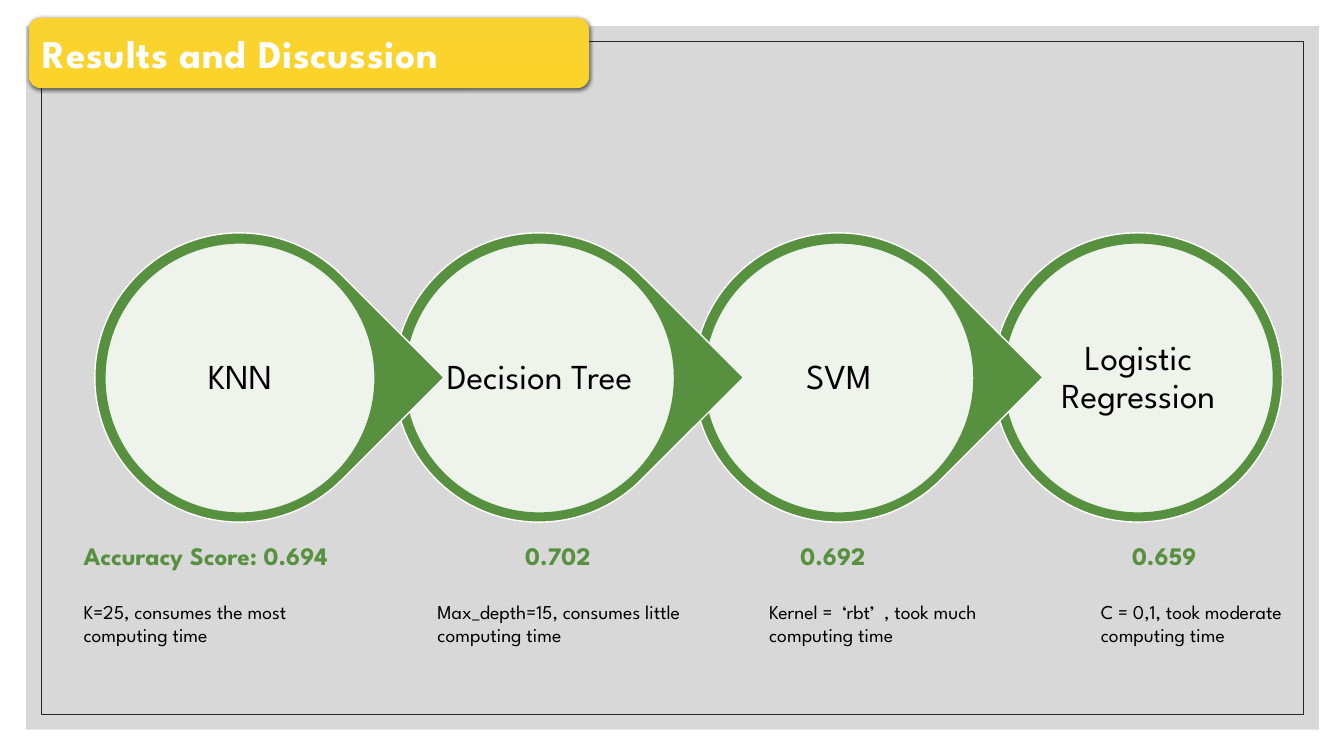
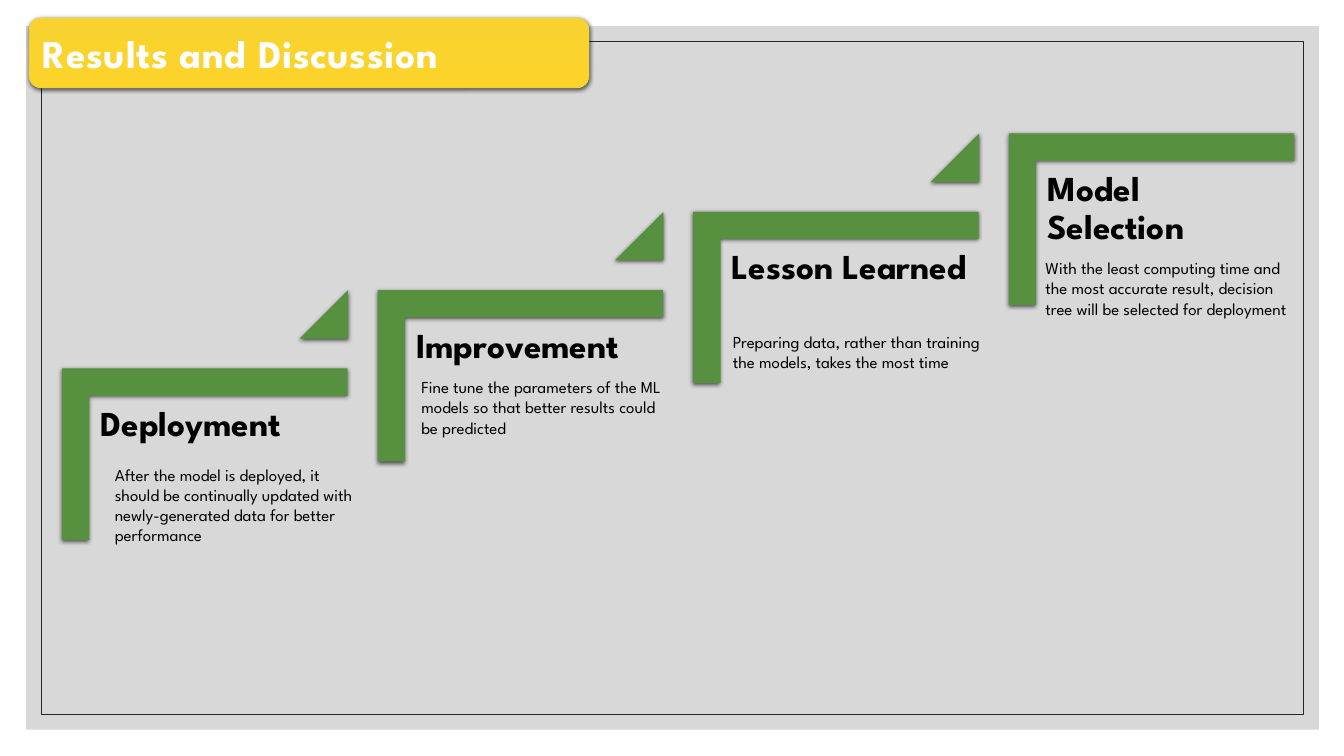
from dataclasses import dataclass
from typing import Any, Optional

from lxml.etree import SubElement
from pptx import Presentation
from pptx.dml.color import RGBColor
from pptx.enum.shapes import MSO_SHAPE
from pptx.enum.text import MSO_ANCHOR, MSO_AUTO_SIZE, PP_ALIGN
from pptx.oxml.ns import qn
from pptx.util import Inches, Pt

# Shared look
FONT = "League Spartan"
HUE = {
    "green": "57903F", "gold": "F8D22F", "amber": "FBD32A", "grey": "BFBFBF",
    "ink": "262626", "black": "000000", "white": "FFFFFF", "pale": "FEFEFE",
}
TITLE = "Results and Discussion"
Box = tuple[float, float, float, float]


@dataclass(frozen=True)
class Model:
    name: str
    score: str
    note: str
    left: float
    width: float
    dent: float


@dataclass(frozen=True)
class Step:
    name: str
    note: str
    left: float
    top: float
    height: float


@dataclass(frozen=True)
class Para:
    text: str
    size: float
    hue: str = "black"
    bold: bool = False
    dent: float = 0
    before: float = 0


MODELS = [
    Model("KNN", "Accuracy Score: 0.694", "K=25, consumes the most computing time",
          0.73, 3.02, 0),
    Model("Decision Tree", "0.702", "Max_depth=15, consumes little computing time",
          4.24, 2.8, 0.87),
    Model("SVM", "0.692", "Kernel =  ‘rbt’  , took much computing time",
          7.53, 2.8, 0.31),
    Model("Logistic Regression", "0.659", "C = 0,1, took moderate computing time",
          10.82, 2, 0.31),
]
STEPS = [
    Step("Deployment", "After the model is deployed, it should be continually updated "
         "with newly-generated data for better performance", 1.04, 4.56, 0.91),
    Step("Improvement", "Fine tune the parameters of the ML models so that better "
         "results could be predicted", 4.08, 3.69, 0.71),
    Step("Lesson Learned", "Preparing data, rather than training the models, takes "
         "the most time", 7.17, 3.24, 0.71),
    Step("Model Selection", "With the least computing time and the most accurate "
         "result, decision tree will be selected for deployment", 10.27, 2.51, 0.91),
]


def tint(name: str) -> RGBColor:
    return RGBColor.from_string(HUE[name])


def apply(target: Any, form: dict[str, Any]) -> None:
    for key, val in form.items():
        setattr(target, key, val)


def shade(node: Any, blur: float, dist: float, angle: int, hue: str, alpha: int) -> None:
    """Add an outer shadow to an effect list."""
    outer = SubElement(node, qn("a:outerShdw"), blurRad=str(Pt(blur)),
                       dist=str(Pt(dist)), dir=str(angle * 60000),
                       algn="ctr", rotWithShape="0")
    color = SubElement(outer, qn("a:srgbClr"), val=HUE[hue])
    SubElement(color, qn("a:alpha"), val=str(alpha * 1000))


def draw(slide: Any, kind: MSO_SHAPE, box: Box, fill: Optional[str] = None,
         line: Optional[str] = None, weight: float = 1, alpha: int = 100,
         turn: float = 0, shadow: bool = False) -> Any:
    shape = slide.shapes.add_shape(kind, *map(Inches, box))
    shape.rotation = turn
    shape.shadow.inherit = False
    props = shape._element.spPr
    if fill:
        shape.fill.solid()
        shape.fill.fore_color.rgb = tint(fill)
        if alpha < 100:
            color = props.find(f"{qn('a:solidFill')}/{qn('a:srgbClr')}")
            SubElement(color, qn("a:alpha"), val=str(alpha * 1000))
    else:
        shape.fill.background()
    if line:
        shape.line.color.rgb = tint(line)
        shape.line.width = Pt(weight)
    else:
        shape.line.fill.background()
    if shadow:
        shade(props.find(qn("a:effectLst")), 3, 1, 90, "black", 63)
    return shape


def fill_text(frame: Any, paras: list[Para], form: dict[str, Any],
              layout: dict[str, Any]) -> None:
    apply(frame, {"word_wrap": True, **form})
    for num, item in enumerate(paras):
        para = frame.add_paragraph() if num else frame.paragraphs[0]
        apply(para, {"alignment": PP_ALIGN.LEFT, "space_before": Pt(item.before), **layout})
        if item.dent:
            para._p.get_or_add_pPr().set("marL", str(Inches(item.dent)))
        run = para.add_run()
        run.text = item.text
        apply(run.font, {"name": FONT, "size": Pt(item.size), "bold": item.bold})
        run.font.color.rgb = tint(item.hue)


def write(slide: Any, box: Box, paras: list[Para], inset: Optional[float] = None,
          form: Optional[dict[str, Any]] = None,
          layout: Optional[dict[str, Any]] = None) -> None:
    frame = slide.shapes.add_textbox(*map(Inches, box)).text_frame
    sides = ("margin_left", "margin_top", "margin_right", "margin_bottom")
    edge = {} if inset is None else {side: Inches(inset) for side in sides}
    fill_text(frame, paras, {**edge, **(form or {})}, layout or {})


def frame_slide(deck: Any) -> Any:
    """Add a slide with the panel, thin border and title tab."""
    slide = deck.slides.add_slide(deck.slide_layouts[6])
    draw(slide, MSO_SHAPE.RECTANGLE, (0.26, 0.26, 12.82, 6.98), "grey", alpha=60)
    draw(slide, MSO_SHAPE.RECTANGLE, (0.41, 0.41, 12.52, 6.68), line="ink", weight=0.5)
    tab = draw(slide, MSO_SHAPE.ROUNDED_RECTANGLE, (0.29, 0.18, 5.55, 0.69),
               "gold", "gold", 0.5, shadow=True)
    tab.fill.gradient()
    tab.fill.gradient_angle = 270
    for stop, hue in zip(tab.fill.gradient_stops, ("gold", "amber")):
        stop.color.rgb = tint(hue)
    fill_text(tab.text_frame, [Para(TITLE, 28, "pale", True)],
              {"vertical_anchor": MSO_ANCHOR.MIDDLE}, {})
    # Letter spacing, outline and shadow of the title
    props = tab.text_frame.paragraphs[0].runs[0].font._element
    props.set("spc", "50")
    edge = SubElement(props, qn("a:ln"), w=str(Pt(0.75)))
    SubElement(SubElement(edge, qn("a:solidFill")), qn("a:srgbClr"), val=HUE["green"])
    props.insert(0, edge)
    glow = SubElement(props, qn("a:effectLst"))
    shade(glow, 0, 3, 45, "green", 100)
    props.find(qn("a:solidFill")).addnext(glow)
    return slide


def draw_models(deck: Any) -> None:
    slide = frame_slide(deck)
    left, top, pitch, size = 0.94, 2.31, 2.97, 2.87
    last = len(MODELS) - 1
    # Chain of discs, from right to left so that each point overlaps the next
    for num in range(last, -1, -1):
        x = left + num * pitch
        kind, turn = (MSO_SHAPE.OVAL, 0) if num == last else (MSO_SHAPE.TEAR, 45)
        draw(slide, kind, (x, top, size, size), "green", "white", turn=turn)
        draw(slide, MSO_SHAPE.OVAL, (x + 0.1, top + 0.1, 2.68, 2.68),
             "white", "green", alpha=90)
        write(slide, (x + 0.48, top + 0.48, 1.92, 1.92), [Para(MODELS[num].name, 25)],
              0.03, {"vertical_anchor": MSO_ANCHOR.MIDDLE},
              {"alignment": PP_ALIGN.CENTER, "line_spacing": 0.9})
    # Scores and remarks
    for model in MODELS:
        write(slide, (model.left, 5.31, model.width, 1.18),
              [Para(model.score, 18, "green", True, model.dent),
               Para(model.note, 14, before=21)],
              form={"auto_size": MSO_AUTO_SIZE.SHAPE_TO_FIT_TEXT})


def draw_steps(deck: Any) -> None:
    slide = frame_slide(deck)
    last = len(STEPS) - 1
    pitch, rise = 3.13, (3.09 - 0.76) / last
    # Staircase of corners
    for num, step in enumerate(STEPS):
        x, y = 1.18 + num * pitch, 3.09 - num * rise
        corner = draw(slide, MSO_SHAPE.CORNER, (x, y, 1.7, 2.83), "green",
                      turn=90, shadow=True)
        for side in range(2):
            corner.adjustments[side] = 0.16
        write(slide, (x - 0.28, y + 0.84, 2.55, 2.24), [Para(step.name, 25, bold=True)],
              0.1, layout={"line_spacing": 0.9})
        if num < last:
            wedge = draw(slide, MSO_SHAPE.ISOSCELES_TRIANGLE,
                         (x + 1.79, y - 0.21, 0.48, 0.48), "green", shadow=True)
            wedge.adjustments[0] = 1
    # Remarks
    for step in STEPS:
        write(slide, (step.left, step.top, 2.71, step.height), [Para(step.note, 12)],
              form={"auto_size": MSO_AUTO_SIZE.SHAPE_TO_FIT_TEXT})


def main() -> None:
    deck = Presentation()
    apply(deck, {"slide_width": Inches(13.33), "slide_height": Inches(7.5)})
    draw_models(deck)
    draw_steps(deck)
    deck.save("out.pptx")


if __name__ == "__main__":
    main()
